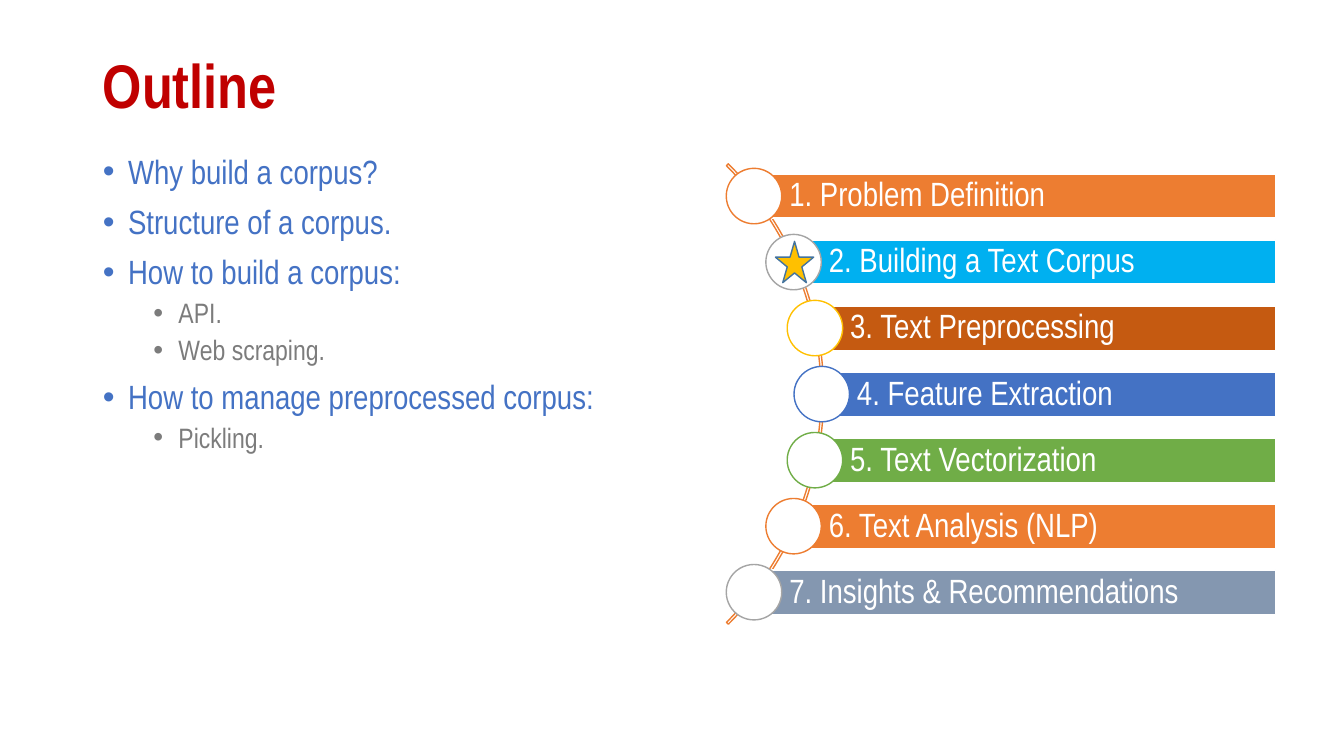
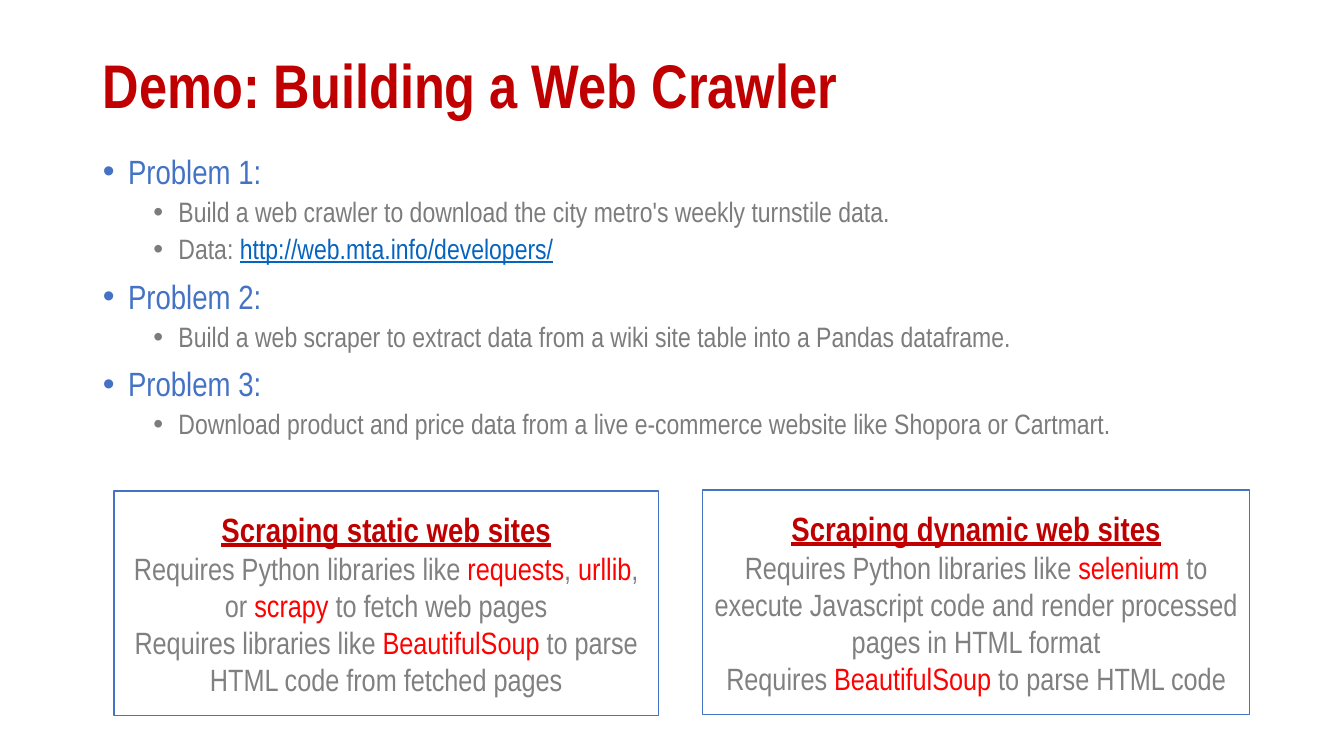
from dataclasses import dataclass, field
from math import sqrt
from typing import NamedTuple

from lxml import etree
from pptx import Presentation
from pptx import util as u
from pptx.dml.color import RGBColor
from pptx.enum import shapes, text
from pptx.oxml import ns


# Theme: colours, type sizes and text styles
@dataclass(frozen=True)
class Theme:
    font: str = "Arial Narrow"
    white: str = "FFFFFF"
    blue: str = "4472C4"
    orange: str = "ED7D31"
    gold: str = "FFC000"
    gray: str = "A5A5A5"
    green: str = "70AD47"
    sky: str = "00B0F0"
    rust: str = "C55A11"
    slate: str = "8497B0"
    star_edge: str = "43739E"
    styles: dict = field(default_factory=lambda: {
        "title": ("C00000", {"size": u.Pt(44), "bold": True}),
        "topic": ("4472C4", {"size": u.Pt(24), "bold": False}),
        "detail": ("7C7C7C", {"size": u.Pt(20), "bold": False}),
        "address": ("0563C1", {"size": u.Pt(20), "underline": True}),
        "step": ("FFFFFF", {"size": u.Pt(24)}),
        "heading": ("C00000", {"size": u.Pt(24), "bold": True, "underline": True}),
        "note": ("808080", {"size": u.Pt(22)}),
        "library": ("FF0000", {"size": u.Pt(22)}),
    })


THEME = Theme()


# Content types
class Box(NamedTuple):
    left: float
    top: float
    width: float
    height: float

    def inches(self) -> list:
        return [u.Inches(value) for value in self]


class Segment(NamedTuple):
    words: str
    style: str


class Bullet(NamedTuple):
    level: int
    segments: list


class Step(NamedTuple):
    label: str
    fill: str
    ring: str


class Card(NamedTuple):
    box: Box
    lines: list


def topic(words: str) -> Bullet:
    return Bullet(0, [Segment(words, "topic")])


def detail(words: str, address: str = "") -> Bullet:
    segments = [Segment(words, "detail")]
    if address:
        segments.append(Segment(address, "address"))
    return Bullet(1, segments)


def note(*words: str) -> list:
    """Plain words and library names take turns."""
    return [Segment(part, "library" if i % 2 else "note") for i, part in enumerate(words)]


def heading(words: str) -> list:
    return [Segment(words, "heading")]


TITLE_BOX = Box(0.92, 0.4, 11.8, 0.95)
BODY_LEFT, BODY_TOP, BODY_WIDTH = 0.92, 1.49, 11.8

OUTLINE = [
    topic("Why build a corpus?"),
    topic("Structure of a corpus."),
    topic("How to build a corpus:"),
    detail("API."),
    detail("Web scraping."),
    topic("How to manage preprocessed corpus:"),
    detail("Pickling."),
]

STEPS = [
    Step("1. Problem Definition", THEME.orange, THEME.orange),
    Step("2. Building a Text Corpus", THEME.sky, THEME.gray),
    Step("3. Text Preprocessing", THEME.rust, THEME.gold),
    Step("4. Feature Extraction", THEME.blue, THEME.blue),
    Step("5. Text Vectorization", THEME.green, THEME.green),
    Step("6. Text Analysis (NLP)", THEME.orange, THEME.orange),
    Step("7. Insights & Recommendations", THEME.slate, THEME.gray),
]
CURRENT_STEP = 1

PROBLEMS = [
    topic("Problem 1:"),
    detail("Build a web crawler to download the city metro's weekly turnstile data."),
    detail("Data: ", "http://web.mta.info/developers/"),
    topic("Problem 2:"),
    detail("Build a web scraper to extract data from a wiki site table into a Pandas dataframe."),
    topic("Problem 3:"),
    detail("Download product and price data from a live e-commerce website like Shopora or Cartmart."),
]

CARDS = [
    Card(Box(1.13, 4.87, 5.4, 2.23), [
        heading("Scraping static web sites"),
        note("Requires Python libraries like ", "requests", ", ", "urllib", ", or ",
             "scrapy", " to fetch web pages"),
        note("Requires libraries like ", "BeautifulSoup",
             " to parse HTML code from fetched pages"),
    ]),
    Card(Box(6.97, 4.86, 5.42, 2.23), [
        heading("Scraping dynamic web sites"),
        note("Requires Python libraries like ", "selenium",
             " to execute Javascript code and render processed pages in HTML format"),
        note("Requires ", "BeautifulSoup", " to parse HTML code"),
    ]),
]


# Text helpers
def write(paragraph, segments: list, **layout) -> None:
    for name, value in layout.items():
        setattr(paragraph, name, value)
    for segment in segments:
        run = paragraph.add_run()
        run.text = segment.words
        color, settings = THEME.styles[segment.style]
        for name, value in {"name": THEME.font, **settings}.items():
            setattr(run.font, name, value)
        run.font.color.rgb = RGBColor.from_string(color)


def paragraphs(frame, count: int) -> list:
    return [frame.paragraphs[0]] + [frame.add_paragraph() for _ in range(count - 1)]


def set_bullet(paragraph, level: int) -> None:
    properties = paragraph._p.get_or_add_pPr()
    properties.set("marL", str(u.Inches(0.25 + 0.5 * level)))
    properties.set("indent", str(u.Inches(-0.25)))
    etree.SubElement(properties, ns.qn("a:buChar")).set("char", "•")


def place(placeholder, box: Box, anchor) -> None:
    for name, value in zip(box._fields, box.inches()):
        setattr(placeholder, name, value)
    frame = placeholder.text_frame
    frame.auto_size = text.MSO_AUTO_SIZE.NONE
    frame.word_wrap = True
    frame.vertical_anchor = anchor


# Shape helper
def draw(target, kind, box: Box, fill: str, line: str):
    shape = target.add_shape(kind, *box.inches())
    shape.shadow.inherit = False
    if fill:
        shape.fill.solid()
        shape.fill.fore_color.rgb = RGBColor.from_string(fill)
    else:
        shape.fill.background()
    shape.line.color.rgb = RGBColor.from_string(line)
    shape.line.width = u.Pt(1)
    return shape


# Shared slide frame: title and bullet list
def add_slide(deck, title: str, bullets: list, body_height: float):
    slide = deck.slides.add_slide(deck.slide_layouts[1])
    heading_holder, body = slide.placeholders[0], slide.placeholders[1]
    place(heading_holder, TITLE_BOX, text.MSO_ANCHOR.MIDDLE)
    write(heading_holder.text_frame.paragraphs[0], [Segment(title, "title")],
          alignment=text.PP_ALIGN.LEFT, line_spacing=0.9)

    place(body, Box(BODY_LEFT, BODY_TOP, BODY_WIDTH, body_height), text.MSO_ANCHOR.TOP)
    rows = paragraphs(body.text_frame, len(bullets))
    for i, (paragraph, bullet) in enumerate(zip(rows, bullets)):
        set_bullet(paragraph, bullet.level)
        before = (10, 5)[bullet.level] if i else 0
        write(paragraph, bullet.segments, level=bullet.level, line_spacing=0.9,
              space_before=u.Pt(before), space_after=u.Pt(0))
    return slide


# Process steps strung along an arc
def add_process(slide) -> None:
    center_x, center_y, radius = 4.94, 3.91, 3.23
    node_radius, pitch, right = 3.21, 0.655, 12.65
    bar_height, ring = 0.44, 0.55
    star_width, star_height = 0.38, 0.41

    chain = slide.shapes.add_group_shape().shapes
    arc = draw(chain, shapes.MSO_SHAPE.BLOCK_ARC,
               Box(center_x - radius, center_y - radius, 2 * radius, 2 * radius),
               "", THEME.orange)
    for i, value in enumerate((189, 27, 0.004)):
        arc.adjustments[i] = value

    nodes = []
    for i, step in enumerate(STEPS):
        offset = (i - (len(STEPS) - 1) / 2) * pitch
        x = center_x + sqrt(node_radius ** 2 - offset ** 2)
        y = center_y + offset
        nodes.append((x, y))
        bar = draw(chain, shapes.MSO_SHAPE.RECTANGLE,
                   Box(x, y - bar_height / 2, right - x, bar_height), step.fill, THEME.white)
        frame = bar.text_frame
        margins = {"left": 0.35, "top": 0.07, "right": 0.07, "bottom": 0.07}
        for side, value in margins.items():
            setattr(frame, f"margin_{side}", u.Inches(value))
        frame.vertical_anchor = text.MSO_ANCHOR.MIDDLE
        write(frame.paragraphs[0], [Segment(step.label, "step")],
              alignment=text.PP_ALIGN.LEFT, line_spacing=0.9)
        draw(chain, shapes.MSO_SHAPE.OVAL,
             Box(x - ring / 2, y - ring / 2, ring, ring), THEME.white, step.ring)

    # Star on the current step
    x, y = nodes[CURRENT_STEP]
    draw(slide.shapes, shapes.MSO_SHAPE.STAR_5_POINT,
         Box(x + 0.01 - star_width / 2, y - star_height / 2, star_width, star_height),
         THEME.gold, THEME.star_edge)


# Framed notes
def add_card(slide, card: Card) -> None:
    panel = draw(slide.shapes, shapes.MSO_SHAPE.RECTANGLE, card.box, THEME.white, THEME.blue)
    frame = panel.text_frame
    frame.word_wrap = True
    frame.vertical_anchor = text.MSO_ANCHOR.MIDDLE
    for paragraph, segments in zip(paragraphs(frame, len(card.lines)), card.lines):
        write(paragraph, segments, alignment=text.PP_ALIGN.CENTER)


def main() -> None:
    deck = Presentation()
    deck.slide_width, deck.slide_height = u.Inches(13.33), u.Inches(7.5)

    add_process(add_slide(deck, "Outline", OUTLINE, 5.27))

    demo = add_slide(deck, "Demo: Building a Web Crawler", PROBLEMS, 3.23)
    for card in CARDS:
        add_card(demo, card)

    deck.save("out.pptx")


if __name__ == "__main__":
    main()
